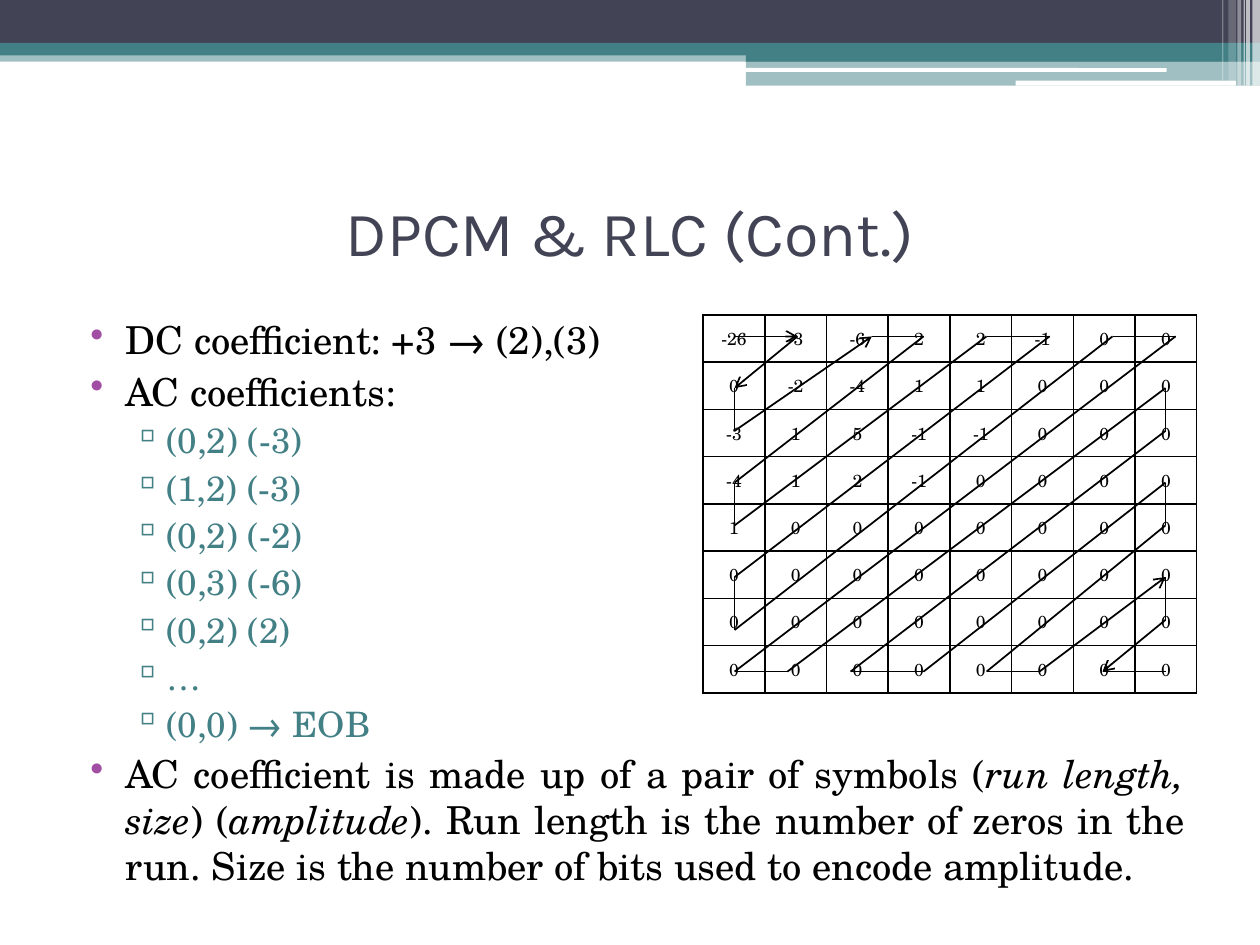
import itertools

import lxml.etree
import pptx
import pptx.dml.color
import pptx.enum.shapes
import pptx.enum.text
import pptx.oxml.ns
import pptx.util

Inches, Pt = pptx.util.Inches, pptx.util.Pt
qn = pptx.oxml.ns.qn
SHAPE = pptx.enum.shapes.MSO_SHAPE
ALIGN = pptx.enum.text.PP_ALIGN
MIDDLE = pptx.enum.text.MSO_ANCHOR.MIDDLE

NAVY, TEAL, PURPLE, WHITE, BLACK = "424456", "438086", "A04DA3", "FFFFFF", "000000"


def rgb(code):
    return pptx.dml.color.RGBColor.from_string(code)


def apply(target, values):
    for name, value in values.items():
        setattr(target, name, value)


def add_xml(parent, tag, **attributes):
    return lxml.etree.SubElement(parent, qn(tag), attributes)


class SlideBuilder:
    heading_font = "Karla"
    body_font = "TeX Gyre Schola"
    # left indent, hanging indent, bullet, bullet colour, text size, text colour
    levels = [(0.4, -0.28, "•", PURPLE, 22, BLACK),
              (0.72, -0.27, "▫", TEAL, 20, TEAL)]

    def __init__(self, slide):
        self.slide = slide

    def bar(self, box, color, opacity=100, kind=SHAPE.RECTANGLE):
        bar = self.slide.shapes.add_shape(kind, *map(Inches, box))
        bar.shadow.inherit = False
        bar.line.fill.background()
        bar.fill.solid()
        bar.fill.fore_color.rgb = rgb(color)
        if opacity < 100:
            tint = bar.fill._xPr.find(qn("a:solidFill"))[0]
            add_xml(tint, "a:alpha", val=str(opacity * 1000))

    def run(self, paragraph, words, size, color, font, italic=False):
        run = paragraph.add_run()
        run.text = words
        apply(run.font, {"size": Pt(size), "name": font, "italic": italic})
        run.font.color.rgb = rgb(color)

    def text_frame(self, box):
        frame = self.slide.shapes.add_textbox(*map(Inches, box)).text_frame
        frame.word_wrap = True
        return frame

    def title(self, box, words):
        frame = self.text_frame(box)
        frame.vertical_anchor = MIDDLE
        frame.paragraphs[0].alignment = ALIGN.CENTER
        self.run(frame.paragraphs[0], words, 36, NAVY, self.heading_font)

    def bullets(self, box, items):
        """Each item is (level, parts); every second part is italic."""
        frame = self.text_frame(box)
        for index, (level, parts) in enumerate(items):
            paragraph = frame.add_paragraph() if index else frame.paragraphs[0]
            left, hanging, mark, mark_color, size, color = self.levels[level]
            apply(paragraph, {"alignment": ALIGN.JUSTIFY, "level": level,
                              "space_before": Pt(3)})
            properties = paragraph._p.get_or_add_pPr()
            properties.set("marL", str(Inches(left)))
            properties.set("indent", str(Inches(hanging)))
            add_xml(add_xml(properties, "a:buClr"), "a:srgbClr", val=mark_color)
            add_xml(properties, "a:buChar", char=mark)
            for position, words in enumerate(parts):
                self.run(paragraph, words, size, color, self.body_font, position % 2 == 1)

    def grid(self, box, rows):
        table = self.slide.shapes.add_table(
            len(rows), len(rows[0]), *map(Inches, box)).table
        apply(table, {"first_row": False, "horz_banding": False})
        for r, c in itertools.product(range(len(rows)), range(len(rows[0]))):
            cell = table.cell(r, c)
            apply(cell, {"vertical_anchor": MIDDLE, "margin_left": 0, "margin_right": 0,
                         "margin_top": 0, "margin_bottom": 0})
            for side in ("a:lnL", "a:lnR", "a:lnT", "a:lnB"):
                border = add_xml(cell._tc.get_or_add_tcPr(), side, w=str(Pt(1)))
                add_xml(add_xml(border, "a:solidFill"), "a:srgbClr", val=BLACK)
            cell.fill.background()
            paragraph = cell.text_frame.paragraphs[0]
            paragraph.alignment = ALIGN.CENTER
            self.run(paragraph, str(rows[r][c]), 10, BLACK, self.body_font)

    def line(self, start, end, arrow=False):
        line = self.slide.shapes.add_connector(
            pptx.enum.shapes.MSO_CONNECTOR.STRAIGHT, *map(Inches, start + end))
        line.line.width = Pt(1)
        line.line.color.rgb = rgb(BLACK)
        if arrow:
            add_xml(line.line._get_or_add_ln(), "a:tailEnd", type="arrow")
        add_xml(line._element.spPr, "a:effectLst")


def main():
    deck = pptx.Presentation()
    apply(deck, {"slide_width": Inches(10), "slide_height": Inches(7.5)})
    builder = SlideBuilder(deck.slides.add_slide(deck.slide_layouts[6]))

    # Header bands
    builder.bar((0, 0.4, 10, 0.09), TEAL, 50)
    builder.bar((0, 0, 10, 0.34), NAVY)
    builder.bar((0, 0.34, 10, 0.1), TEAL)
    builder.bar((5.92, 0.39, 4.08, 0.1), TEAL)
    builder.bar((5.92, 0.48, 4.08, 0.2), TEAL, 50)
    for box in [(5.91, 0.54, 3.35, 0.03), (8.06, 0.64, 1.75, 0.04)]:
        builder.bar(box, WHITE, kind=SHAPE.ROUNDED_RECTANGLE)

    # Pale stripes at the right edge of the header
    for left, width, height, opacity in [
            (9.94, 0.06, 0.68, 65), (9.89, 0.03, 0.68, 65), (9.87, 0.01, 0.68, 60),
            (9.82, 0.03, 0.68, 40), (9.75, 0.06, 0.64, 20), (9.7, 0.01, 0.64, 30)]:
        builder.bar((left, 0, width, height), WHITE, opacity)

    # Title and bullets
    builder.title((0.5, 1.25, 9, 1.17), "DPCM & RLC (Cont.)")
    symbols = ["(0,2) (-3)", "(1,2) (-3)", "(0,2) (-2)", "(0,3) (-6)", "(0,2) (2)",
               "…", "(0,0) → EOB"]
    builder.bullets((0.5, 2.46, 9, 4.87), [
        (0, ["DC coefficient: +3 → (2),(3)"]),
        (0, ["AC coefficients:"]),
        *[(1, [symbol]) for symbol in symbols],
        (0, ["AC coefficient is made up of a pair of symbols (", "run length, size", ") (",
             "amplitude", "). Run length is the number of zeros in the run. "
             "Size is the number of bits used to encode amplitude."]),
    ])

    # Quantized coefficients, zero beyond the listed values
    leading = [[-26, -3, -6, 2, 2, -1], [0, -2, -4, 1, 1], [-3, 1, 5, -1, -1],
               [-4, 1, 2, -1], [1], [], [], []]
    builder.grid((5.58, 2.5, 3.92, 3), [row + [0] * (8 - len(row)) for row in leading])

    # Zigzag scan from the top left to the bottom right coefficient
    left, right, top, bottom = 5.83, 9.25, 2.67, 5.33
    zigzag = [
        (left, top), (6.33, top), (left, 3.08), (left, 3.42), (6.92, top), (7.33, top),
        (left, 3.83), (left, 4.17), (7.83, top), (8.33, top), (left, 4.58), (left, 5),
        (8.83, top), (9.33, top), (left, bottom), (6.25, bottom), (right, 3.08),
        (right, 3.42), (6.75, bottom), (7.33, bottom), (right, 3.83), (right, 4.17),
        (7.83, bottom), (8.25, bottom), (right, 4.58), (right, 4.92), (8.75, bottom),
        (right, bottom)]
    arrow_ends = {(6.33, top), (left, 3.08), (6.92, top), (right, 4.58), (8.75, bottom)}
    for start, end in zip(zigzag, zigzag[1:]):
        builder.line(start, end, end in arrow_ends)

    deck.save("out.pptx")


if __name__ == "__main__":
    main()
